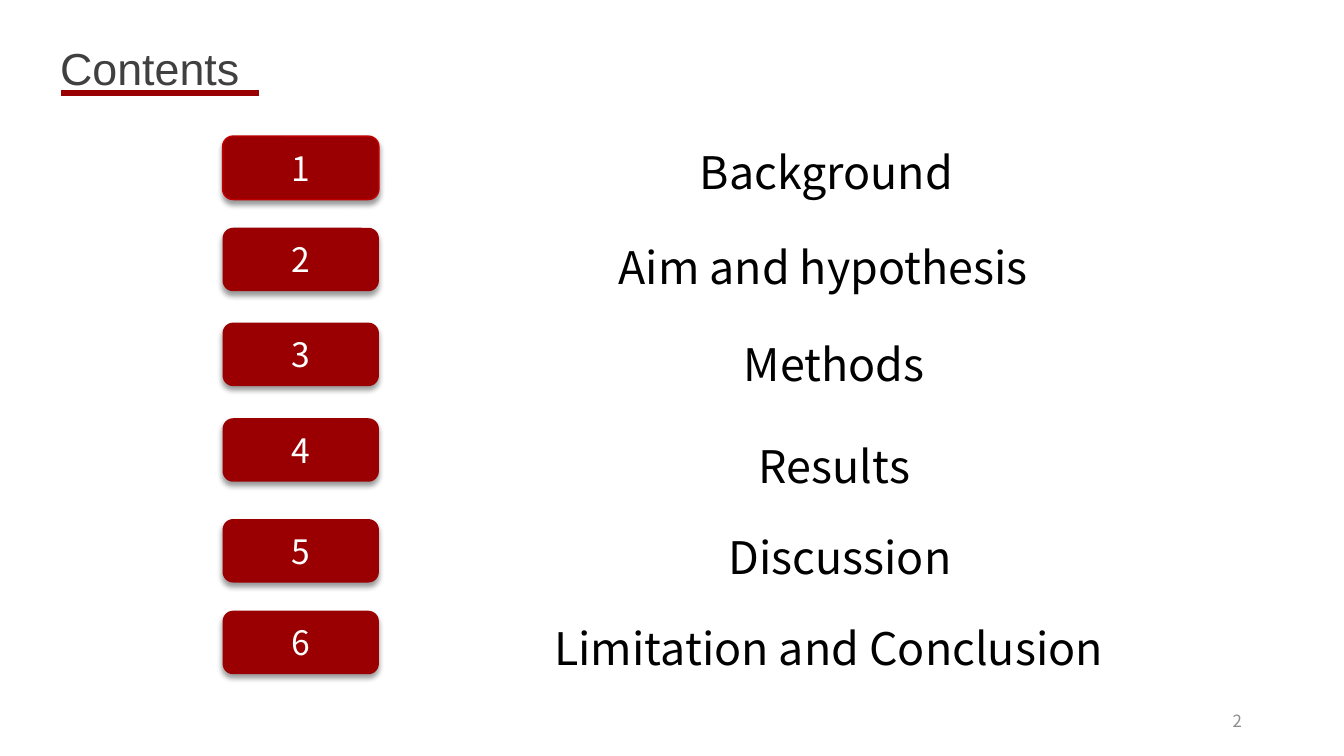
"""Build the numbered contents slide."""
from lxml import etree
from pptx import Presentation
from pptx.dml.color import RGBColor
from pptx.enum.shapes import MSO_CONNECTOR, MSO_SHAPE
from pptx.enum.text import MSO_ANCHOR, MSO_AUTO_SIZE, PP_ALIGN
from pptx.oxml import parse_xml
from pptx.oxml.ns import nsdecls, qn
from pptx.util import Cm, Pt

TITLE = "Contents"
PAGE_NUMBER = "2"
# label, button top, label centre x, label centre y (cm)
SECTIONS = [
    ("Background", 3.43, 20.83, 4.32),
    ("Aim and hypothesis", 5.74, 20.75, 6.73),
    ("Methods", 8.13, 21.02, 9.17),
    ("Results", 10.54, 21.03, 11.73),
    ("Discussion", 13.08, 21.17, 14.02),
    ("Limitation and Conclusion", 15.39, 20.89, 16.33),
]
BUTTON_LEFT, BUTTON_WIDTH, BUTTON_HEIGHT = 5.61, 3.94, 1.6
LABEL_WIDTH, LABEL_HEIGHT = 17.9, 1.9
COLORS = {"red": "9A0001", "edge": "C00000", "title": "404040",
          "text": "000000", "white": "FFFFFF", "page": "8C8C8C"}
TITLE_FONT, BODY_FONT = "Arial", "Noto Sans CJK SC"
LEFT, CENTER, RIGHT = PP_ALIGN.LEFT, PP_ALIGN.CENTER, PP_ALIGN.RIGHT
TOP, MIDDLE = MSO_ANCHOR.TOP, MSO_ANCHOR.MIDDLE
NO_AUTO_SIZE = MSO_AUTO_SIZE.NONE
ROUNDED, STRAIGHT = MSO_SHAPE.ROUNDED_RECTANGLE, MSO_CONNECTOR.STRAIGHT
SHADOW = (
    f'<a:effectLst {nsdecls("a")}>'
    '<a:outerShdw blurRad="50800" dist="38100" dir="5400000" algn="t" rotWithShape="0">'
    '<a:srgbClr val="000000"><a:alpha val="40000"/></a:srgbClr>'
    '</a:outerShdw></a:effectLst>'
)


def color(name):
    return RGBColor.from_string(COLORS[name])


def write(shape, text, size, color_name, alignment, font=BODY_FONT, anchor=MIDDLE):
    frame = shape.text_frame
    frame.text = text
    frame.word_wrap = True
    frame.auto_size = NO_AUTO_SIZE
    frame.vertical_anchor = anchor
    paragraph = frame.paragraphs[0]
    paragraph.alignment = alignment
    for run in paragraph.runs:
        run.font.name = font
        run.font.size = Pt(size)
        run.font.color.rgb = color(color_name)


def add_text(slide, left, top, width, height, *text_format):
    box = slide.shapes.add_textbox(Cm(left), Cm(top), Cm(width), Cm(height))
    write(box, *text_format)


def add_title(slide):
    title = slide.shapes.title
    title.left, title.top, title.width, title.height = Cm(1.26), Cm(0.89), Cm(9.8), Cm(1.63)
    write(title, TITLE, 32, "title", LEFT, TITLE_FONT, TOP)
    underline = slide.shapes.add_connector(STRAIGHT, Cm(1.53), Cm(2.34), Cm(6.53), Cm(2.34))
    underline.line.color.rgb = color("red")
    underline.line.width = Pt(4.5)
    etree.SubElement(underline._element.spPr, qn("a:effectLst"))


def add_button(slide, number, top):
    button = slide.shapes.add_shape(
        ROUNDED, Cm(BUTTON_LEFT), Cm(top), Cm(BUTTON_WIDTH), Cm(BUTTON_HEIGHT))
    button.fill.solid()
    button.fill.fore_color.rgb = color("red")
    if number == 1:
        button.line.color.rgb = color("edge")
        button.line.width = Pt(1)
    else:
        button.line.fill.background()
    button._element.spPr.append(parse_xml(SHADOW))
    write(button, str(number), 24, "white", CENTER)


def main():
    presentation = Presentation()
    presentation.slide_width, presentation.slide_height = Cm(33.87), Cm(19.05)
    slide = presentation.slides.add_slide(presentation.slide_layouts[5])
    add_title(slide)
    for number, (label, button_top, center_x, center_y) in enumerate(SECTIONS, 1):
        add_button(slide, number, button_top)
        add_text(slide, center_x - LABEL_WIDTH / 2, center_y - LABEL_HEIGHT / 2,
                 LABEL_WIDTH, LABEL_HEIGHT, label, 32, "text", CENTER)
    add_text(slide, 23.93, 17.65, 7.62, 1.02, PAGE_NUMBER, 12, "page", RIGHT)
    presentation.save("out.pptx")


if __name__ == "__main__":
    main()
